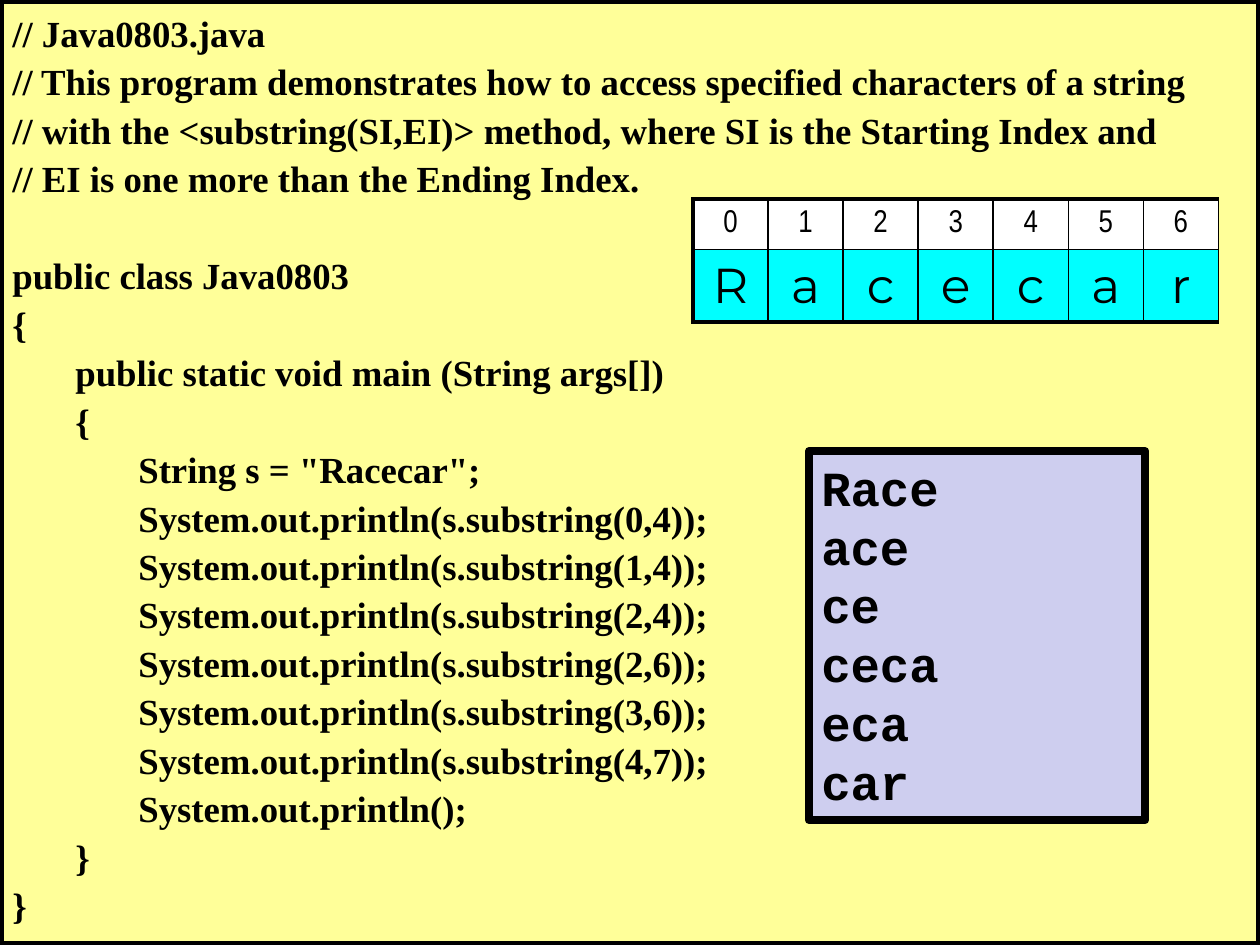
from lxml import etree
from pptx import Presentation
from pptx.dml.color import RGBColor
from pptx.enum import shapes, text
from pptx.oxml import ns
from pptx.util import Inches, Pt

BLACK = RGBColor(0x00, 0x00, 0x00)
WHITE = RGBColor(0xFF, 0xFF, 0xFF)
PAPER = RGBColor(0xFF, 0xFF, 0x99)
LAVENDER = RGBColor(0xCE, 0xCE, 0xEF)
CYAN = RGBColor(0x00, 0xFF, 0xFF)

# Content
HEADER = [
    "// Java0803.java",
    "// This program demonstrates how to access specified characters of a string",
    "// with the <substring(SI,EI)> method, where SI is the Starting Index and",
    "// EI is one more than the Ending Index.",
]
WORD = "Racecar"
SLICES = [(0, 4), (1, 4), (2, 4), (2, 6), (3, 6), (4, 7)]
PROGRAM = [
    "public class Java0803",
    "{",
    "\tpublic static void main (String args[])",
    "\t{",
    f'\t\tString s = "{WORD}";',
    *(f"\t\tSystem.out.println(s.substring({start},{end}));" for start, end in SLICES),
    "\t\tSystem.out.println();",
    "\t}",
    "}",
]
OUTPUT = [WORD[start:end] for start, end in SLICES]

# Table rows: texts, height, font, size, fill, anchor
INDEX_ROWS = [
    ([str(i) for i in range(len(WORD))], 0.4, "Arial Narrow", 18, WHITE, text.MSO_ANCHOR.MIDDLE),
    (list(WORD), 0.57, "Montserrat", 28, CYAN, text.MSO_ANCHOR.TOP),
]
THICK, THIN = 2.25, 1


def add_run(paragraph, words, font, size, bold=False):
    run = paragraph.add_run()
    run.text = words
    run.font.name = font
    run.font.size = Pt(size)
    run.font.bold = bold
    run.font.color.rgb = BLACK


def add_panel(slide, box, fill, lines, font, size, spacing):
    """Outlined box with one paragraph per line; returns the paragraphs."""
    panel = slide.shapes.add_shape(shapes.MSO_SHAPE.RECTANGLE, *map(Inches, box))
    panel.shadow.inherit = False
    panel.fill.solid()
    panel.fill.fore_color.rgb = fill
    panel.line.color.rgb = BLACK
    panel.line.width = Pt(4.5)
    frame = panel.text_frame
    frame.word_wrap = True
    frame.vertical_anchor = text.MSO_ANCHOR.TOP
    for i, line in enumerate(lines):
        paragraph = frame.add_paragraph() if i else frame.paragraphs[0]
        paragraph.alignment = text.PP_ALIGN.LEFT
        paragraph.line_spacing = spacing
        add_run(paragraph, line, font, size, bold=True)
    return frame.paragraphs


def set_tabs(paragraph, stops):
    tabs = etree.SubElement(paragraph._p.get_or_add_pPr(), ns.qn("a:tabLst"))
    for stop in stops:
        etree.SubElement(tabs, ns.qn("a:tab"), pos=str(Inches(stop)), algn="l")


def set_borders(cell, widths):
    """Black borders; widths maps lnL, lnR, lnT, lnB to points."""
    props = cell._tc.get_or_add_tcPr()
    for i, (side, width) in enumerate(widths.items()):
        line = etree.Element(ns.qn(f"a:{side}"), w=str(Pt(width)))
        fill = etree.SubElement(line, ns.qn("a:solidFill"))
        etree.SubElement(fill, ns.qn("a:srgbClr"), val=str(BLACK))
        props.insert(i, line)


def add_index_table(slide, left, top, width):
    height = sum(row[1] for row in INDEX_ROWS)
    frame = slide.shapes.add_table(len(INDEX_ROWS), len(WORD), *map(Inches, (left, top, width, height)))
    table = frame.table
    table.first_row = table.horz_banding = False
    for column in table.columns:
        column.width = Inches(width / len(WORD))
    last_row = len(INDEX_ROWS) - 1
    for r, (texts, row_height, font, size, fill, anchor) in enumerate(INDEX_ROWS):
        table.rows[r].height = Inches(row_height)
        for c, words in enumerate(texts):
            cell = table.cell(r, c)
            cell.fill.solid()
            cell.fill.fore_color.rgb = fill
            cell.vertical_anchor = anchor
            paragraph = cell.text_frame.paragraphs[0]
            paragraph.alignment = text.PP_ALIGN.CENTER
            paragraph.space_before = Pt(size * 0.2)
            add_run(paragraph, words, font, size)
            set_borders(cell, {
                "lnL": THIN if c else THICK,
                "lnR": THIN,
                "lnT": THIN if r else THICK,
                "lnB": THICK if r == last_row else THIN,
            })


def main():
    deck = Presentation()
    deck.slide_width, deck.slide_height = Inches(10), Inches(7.5)
    slide = deck.slides.add_slide(deck.slide_layouts[6])

    # Source code, with one line of space between header and program
    code = add_panel(slide, (0, 0, 10, 7.5), PAPER, HEADER + PROGRAM,
                     "Times New Roman", 21, 1.1)
    code[len(HEADER)].space_before = Pt(27.75)
    for paragraph in code:
        set_tabs(paragraph, (0.5, 1))

    # Character positions
    add_index_table(slide, 5.5, 1.58, 4.17)

    # Program output
    add_panel(slide, (6.42, 3.58, 2.67, 2.93), LAVENDER, OUTPUT, "Courier New", 28, 1)

    deck.save("out.pptx")


if __name__ == "__main__":
    main()
